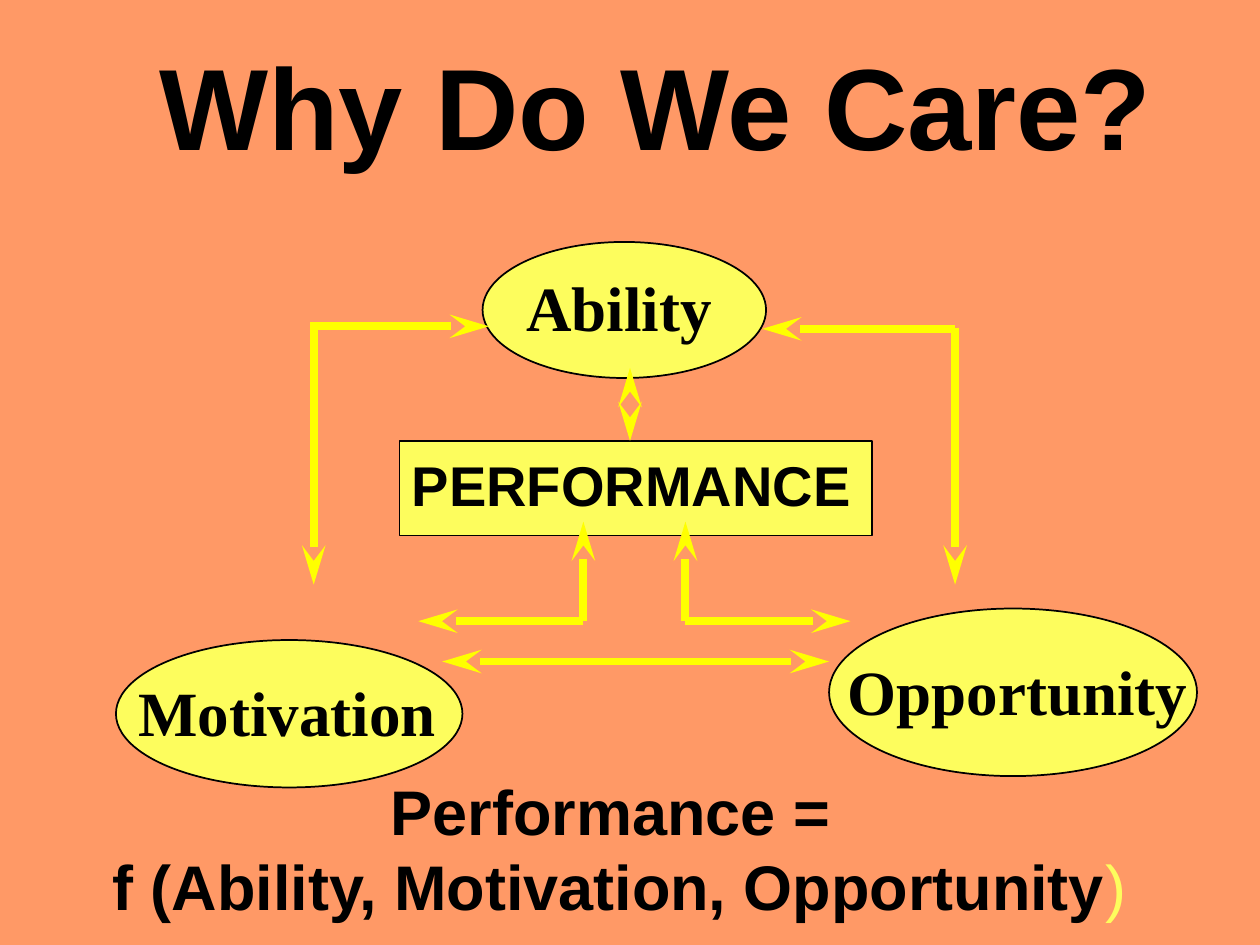
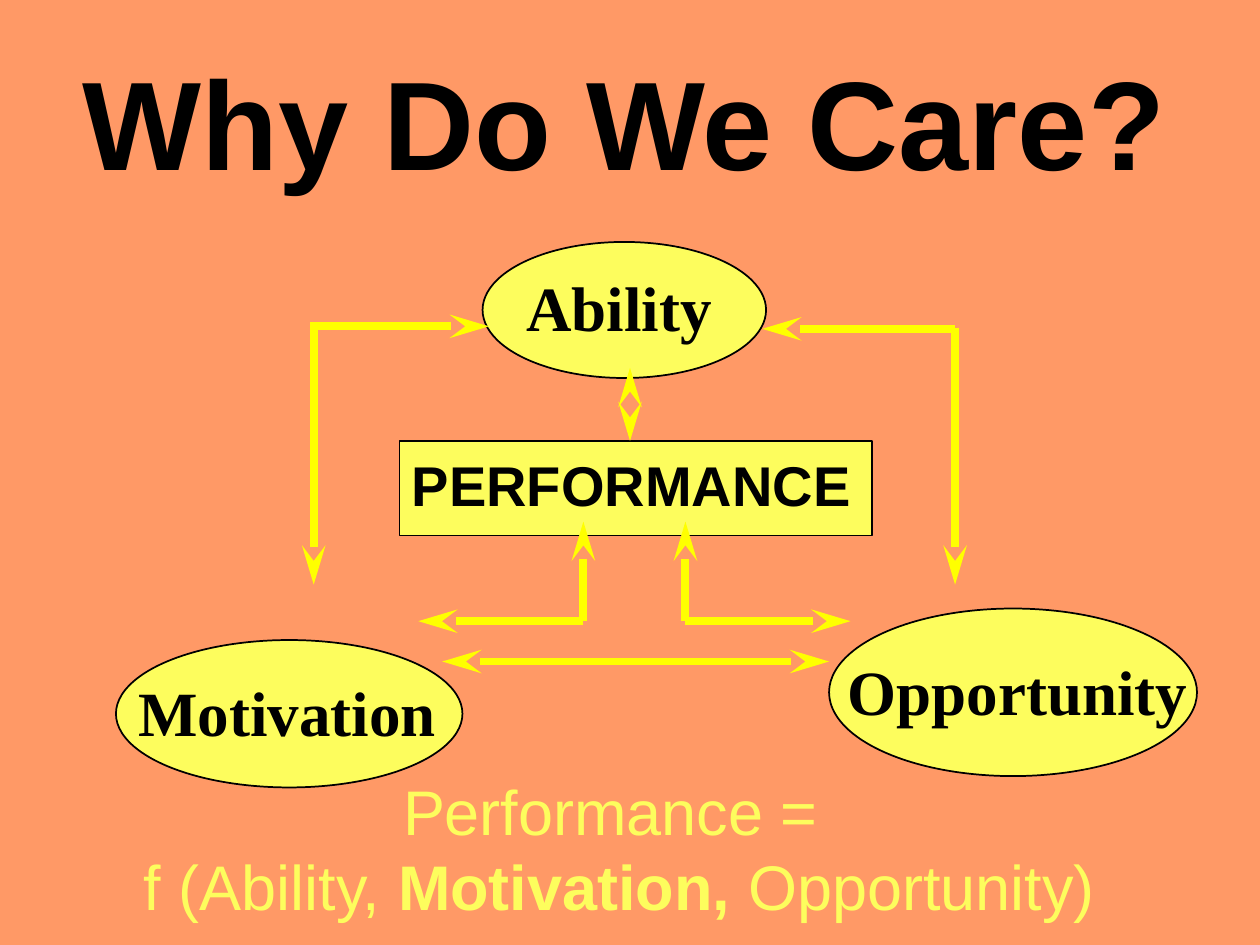
from typing import NamedTuple

from lxml import etree
from pptx import Presentation
from pptx.dml.color import RGBColor
from pptx.enum import shapes, text
from pptx.oxml import ns
from pptx.util import Inches, Pt

ORANGE = RGBColor(0xFF, 0x99, 0x66)
PALE = RGBColor(0xFD, 0xFD, 0x5D)
YELLOW = RGBColor(0xFF, 0xFF, 0x00)
BLACK = RGBColor(0x00, 0x00, 0x00)
SANS = "Arial"
SERIF = "Times New Roman"
RECT = shapes.MSO_SHAPE.RECTANGLE
OVAL = shapes.MSO_SHAPE.OVAL


class Box(NamedTuple):
    left: float
    top: float
    width: float
    height: float


class Node(NamedTuple):
    kind: shapes.MSO_SHAPE
    box: Box
    label: str
    label_box: Box
    font: str = SERIF
    size: int = 36


class Arrow(NamedTuple):
    x1: float
    y1: float
    x2: float
    y2: float
    head: bool = False
    tail: bool = False


class Part(NamedTuple):
    words: str
    color: RGBColor = PALE
    bold: bool = False


class Page(NamedTuple):
    title_box: Box
    title_size: int
    formula: list[list[Part]]


NODES = [
    Node(RECT, Box(3.17, 3.5, 3.75, 0.75), "PERFORMANCE", Box(3.17, 3.53, 3.83, 0.64), SANS, 32),
    Node(OVAL, Box(6.58, 4.83, 2.92, 1.33), "Opportunity", Box(6.63, 5.13, 3.1, 0.7)),
    Node(OVAL, Box(0.92, 5.08, 2.75, 1.17), "Motivation", Box(1, 5.3, 2.75, 0.7)),
    Node(OVAL, Box(3.83, 1.92, 2.25, 1.08), "Ability", Box(4.08, 2.08, 1.85, 0.7)),
]

ARROWS = [
    Arrow(3.88, 2.59, 2.46, 2.59, head=True),
    Arrow(2.49, 2.59, 2.49, 4.64, tail=True),
    Arrow(6.05, 2.61, 7.58, 2.61, head=True),
    Arrow(7.58, 2.6, 7.58, 4.64, tail=True),
    Arrow(5, 2.92, 5, 3.5, head=True, tail=True),
    Arrow(3.51, 5.25, 6.58, 5.25, head=True, tail=True),
    Arrow(4.63, 4.14, 4.63, 4.93, head=True),
    Arrow(4.63, 4.93, 3.32, 4.93, tail=True),
    Arrow(5.44, 4.14, 5.44, 4.93, head=True),
    Arrow(5.44, 4.93, 6.75, 4.93, tail=True),
]

FORMULA_BOX = Box(0.75, 6.08, 8.33, 1.3)

PAGES = [
    Page(Box(1.08, 0.31, 8.25, 1.03), 66, [
        [Part("Performance = ", BLACK, True)],
        [Part("f (Ability, Motivation, Opportunity", BLACK, True), Part(")")],
    ]),
    Page(Box(0.33, 0.33, 9.25, 1.25), 72, [
        [Part("Performance = ")],
        [Part("f (Ability, "), Part("Motivation, ", bold=True), Part("Opportunity)")],
    ]),
]


def inches(box: Box) -> list[int]:
    return [Inches(v) for v in box]


def add_text(s, box: Box, lines: list[list[Part]], *, size: int, font: str = SANS,
             align=text.PP_ALIGN.LEFT, anchor=text.MSO_ANCHOR.TOP) -> None:
    tf = s.shapes.add_textbox(*inches(box)).text_frame
    tf.word_wrap = True
    tf.vertical_anchor = anchor
    for i, parts in enumerate(lines):
        p = tf.paragraphs[0] if i == 0 else tf.add_paragraph()
        p.alignment = align
        for part in parts:
            r = p.add_run()
            r.text = part.words
            r.font.name = font
            r.font.size = Pt(size)
            r.font.bold = part.bold
            r.font.color.rgb = part.color


def add_node(s, node: Node) -> None:
    sp = s.shapes.add_shape(node.kind, *inches(node.box))
    sp.shadow.inherit = False
    sp.fill.solid()
    sp.fill.fore_color.rgb = PALE
    sp.line.color.rgb = BLACK
    sp.line.width = Pt(1)


def add_arrow(s, arrow: Arrow) -> None:
    ends = [Inches(v) for v in arrow[:4]]
    cx = s.shapes.add_connector(shapes.MSO_CONNECTOR.STRAIGHT, *ends)
    cx.line.color.rgb = YELLOW
    cx.line.width = Pt(4.5)
    ln = cx.line._get_or_add_ln()
    for tag, shown in (("a:headEnd", arrow.head), ("a:tailEnd", arrow.tail)):
        if shown:
            etree.SubElement(ln, ns.qn(tag), type="stealth", w="med", len="lg")
    etree.SubElement(cx._element.spPr, ns.qn("a:effectLst"))


def add_page(prs, page: Page) -> None:
    s = prs.slides.add_slide(prs.slide_layouts[6])
    s.background.fill.solid()
    s.background.fill.fore_color.rgb = ORANGE
    for node in NODES:
        add_node(s, node)
    add_text(s, page.title_box, [[Part("Why Do We Care?", BLACK, True)]], size=page.title_size,
             align=text.PP_ALIGN.CENTER, anchor=text.MSO_ANCHOR.MIDDLE)
    for arrow in ARROWS:
        add_arrow(s, arrow)
    add_text(s, FORMULA_BOX, page.formula, size=36, align=text.PP_ALIGN.CENTER)
    for node in NODES:
        add_text(s, node.label_box, [[Part(node.label, BLACK, True)]],
                 size=node.size, font=node.font)


def main() -> None:
    prs = Presentation()
    prs.slide_width, prs.slide_height = Inches(10), Inches(7.5)
    for page in PAGES:
        add_page(prs, page)
    prs.save("out.pptx")


if __name__ == "__main__":
    main()
